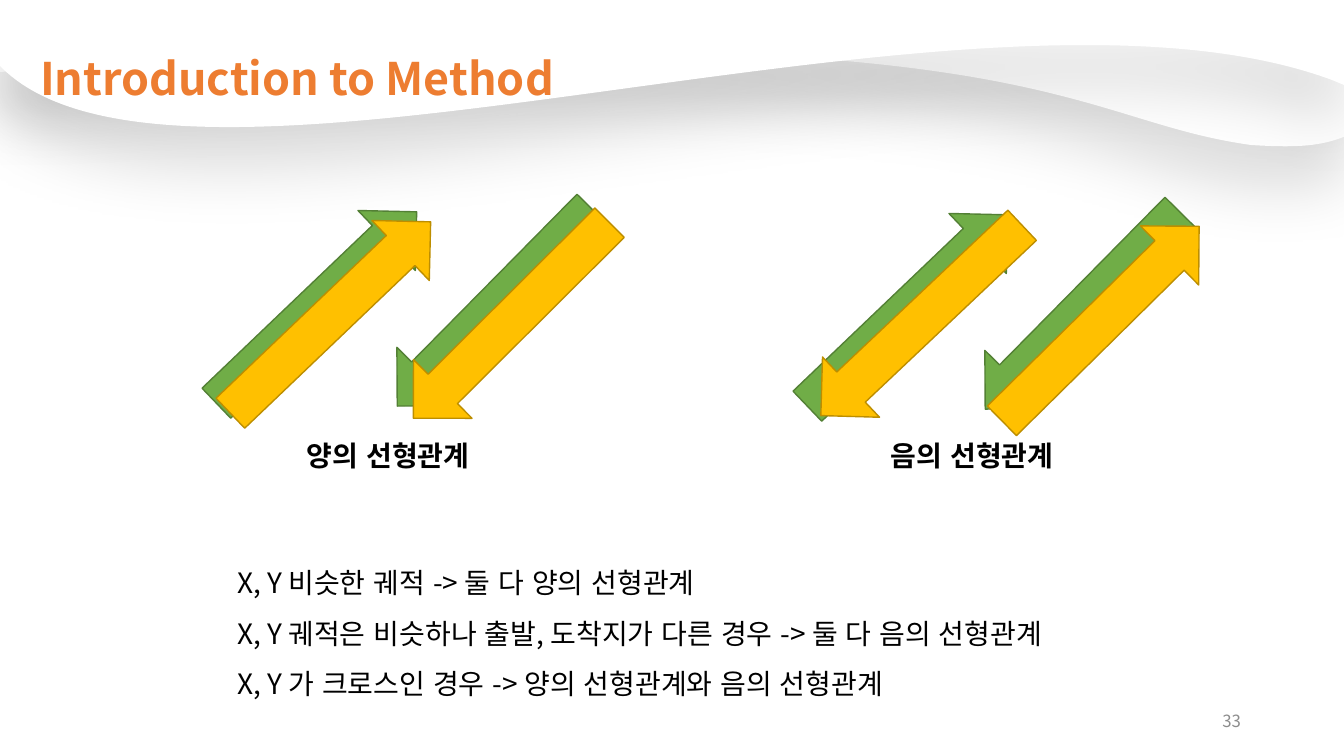
"""Build the slide on positive and negative linear relations."""
from lxml import etree
from pptx import Presentation
from pptx import util as u
from pptx.dml.color import RGBColor
from pptx.enum import lang, shapes, text
from pptx.oxml import ns

ORANGE = RGBColor(0xED, 0x7D, 0x31)
GRAY = RGBColor(0x8C, 0x8C, 0x8C)
BLACK = RGBColor(0, 0, 0)
WHITE = RGBColor(255, 255, 255)
GREEN = RGBColor(0x70, 0xAD, 0x47)
MOSS = RGBColor(0x53, 0x80, 0x35)
GOLD = RGBColor(0xFF, 0xC0, 0x00)
BROWN = RGBColor(0xBD, 0x8E, 0x00)
FONT = "Noto Sans CJK KR"


def px(n):
    """Turn pixels into EMU."""
    return u.Emu(round(n * 12192000 / 1344))


def write(box, area, lines, size, color, bold=False, align=text.PP_ALIGN.JUSTIFY,
          anchor=text.MSO_ANCHOR.TOP, gap=1.0):
    """Place a text shape and fill it with styled lines."""
    box.left, box.top, box.width, box.height = map(px, area)
    frame = box.text_frame
    frame.word_wrap = True
    frame.auto_size = text.MSO_AUTO_SIZE.NONE
    frame.vertical_anchor = anchor
    frame.text = "\n".join(lines)
    for para in frame.paragraphs:
        para.alignment = align
        para.line_spacing = gap
        para.space_before = u.Pt(0)
        props = para._p.get_or_add_pPr()
        props.set("marL", "0")
        props.set("indent", "0")
        etree.SubElement(props, ns.qn("a:buNone"))
        font = para.font
        font.size, font.bold, font.name = u.Pt(size), bold, FONT
        font.color.rgb = color
        font.language_id = lang.MSO_LANGUAGE_ID.KOREAN
        etree.SubElement(font._element, ns.qn("a:ea"), typeface=FONT)


deck = Presentation()
deck.slide_width, deck.slide_height = px(1344), px(756)
slide = deck.slides.add_slide(deck.slide_layouts[1])
items = slide.shapes

WAVES = [
    (1346, 146, [("moveTo", [(1346, 0)]), ("lnTo", [(0, 0)]), ("lnTo", [(0, 72)]),
                 ("cubicBezTo", [(1043, 3), (1058, 118), (1251, 145)]),
                 ("cubicBezTo", [(1298, 148), (1322, 146), (1346, 136)])]),
    (1344, 127, [("moveTo", [(1344, 0)]), ("lnTo", [(0, 0)]), ("lnTo", [(0, 66)]),
                 ("cubicBezTo", [(180, 250), (972, -53), (1332, 80)]),
                 ("lnTo", [(1344, 85)])]),
]
group = items.add_group_shape()
for width, height, parts in WAVES:
    build = group.shapes.build_freeform(0, 0, scale=px(1))
    build.add_line_segments([(width, 0), (width, height), (0, height)])
    wave = build.convert_to_shape()
    route = next(wave._element.iter(ns.qn("a:path")))
    for old in list(route):
        route.remove(old)
    for kind, points in parts:
        part = etree.SubElement(route, ns.qn("a:" + kind))
        for x, y in points:
            etree.SubElement(part, ns.qn("a:pt"), x=str(x), y=str(y))
    etree.SubElement(route, ns.qn("a:close"))
    wave.fill.solid()
    wave.fill.fore_color.rgb = WHITE
    wave.line.fill.background()
    wave.shadow.inherit = False
    effect = wave._element.spPr.find(ns.qn("a:effectLst"))
    shade = etree.SubElement(effect, ns.qn("a:outerShdw"), blurRad=str(u.Pt(43)),
                             dist=str(u.Pt(31)), dir="5400000", algn="t",
                             rotWithShape="0")
    tint = etree.SubElement(shade, ns.qn("a:srgbClr"), val="000000")
    etree.SubElement(tint, ns.qn("a:alpha"), val="13000")
items._spTree.remove(group._element)
items._spTree.insert(2, group._element)

write(items.title, (30, -35, 830, 122), ["Introduction to Method"], 32, ORANGE,
      bold=True, align=text.PP_ALIGN.LEFT, gap=2.5)
write(items.add_textbox(0, 0, 0, 0), (949, 701, 302, 40), ["33"], 12, GRAY,
      align=text.PP_ALIGN.RIGHT, anchor=text.MSO_ANCHOR.MIDDLE)
write(slide.placeholders[1], (227, 544, 1194, 163), [
    "X, Y 비슷한 궤적 -> 둘 다 양의 선형관계",
    "X, Y 궤적은 비슷하나 출발, 도착지가 다른 경우 -> 둘 다 음의 선형관계",
    "X, Y 가 크로스인 경우 -> 양의 선형관계와 음의 선형관계",
], 20, BLACK, gap=1.5)

ARROWS = [
    (275, 169, 226.3), (289, 179, 226.3), (453, 169, 44.6), (470, 182, 45.1),
    (866, 172, 226.3), (880, 182, 46.6), (1041, 172, 44.6), (1059, 185, 225.4),
]
for i, (left, top, turn) in enumerate(ARROWS):
    fill, edge = [(GREEN, MOSS), (GOLD, BROWN)][i % 2]
    arrow = items.add_shape(shapes.MSO_SHAPE.DOWN_ARROW,
                            px(left), px(top), px(83), px(277))
    arrow.rotation = turn
    arrow.shadow.inherit = False
    arrow.fill.solid()
    arrow.fill.fore_color.rgb = fill
    arrow.line.color.rgb = edge
    arrow.line.width = u.Pt(1)

for left, label in [(297, "양의 선형관계"), (881, "음의 선형관계")]:
    write(items.add_textbox(0, 0, 0, 0), (left, 434, 320, 44), [label], 20, BLACK,
          bold=True)

deck.save("out.pptx")
